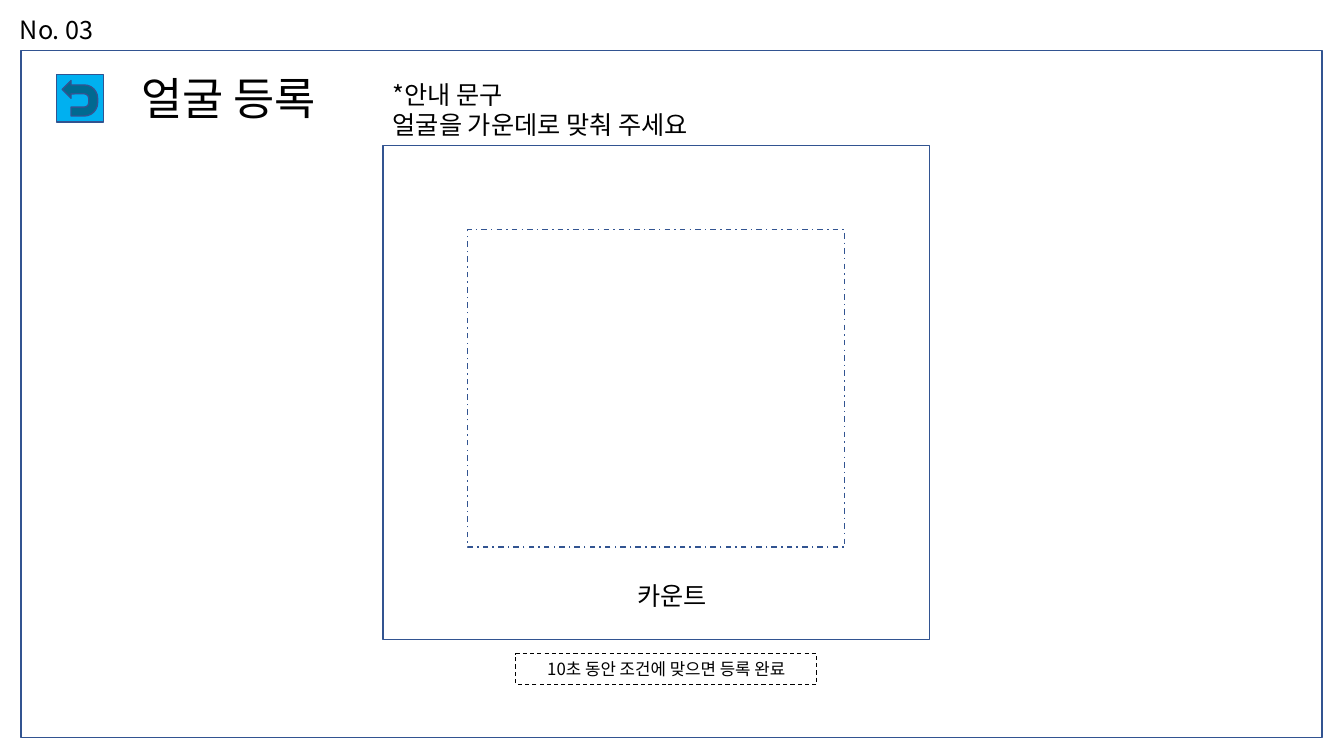
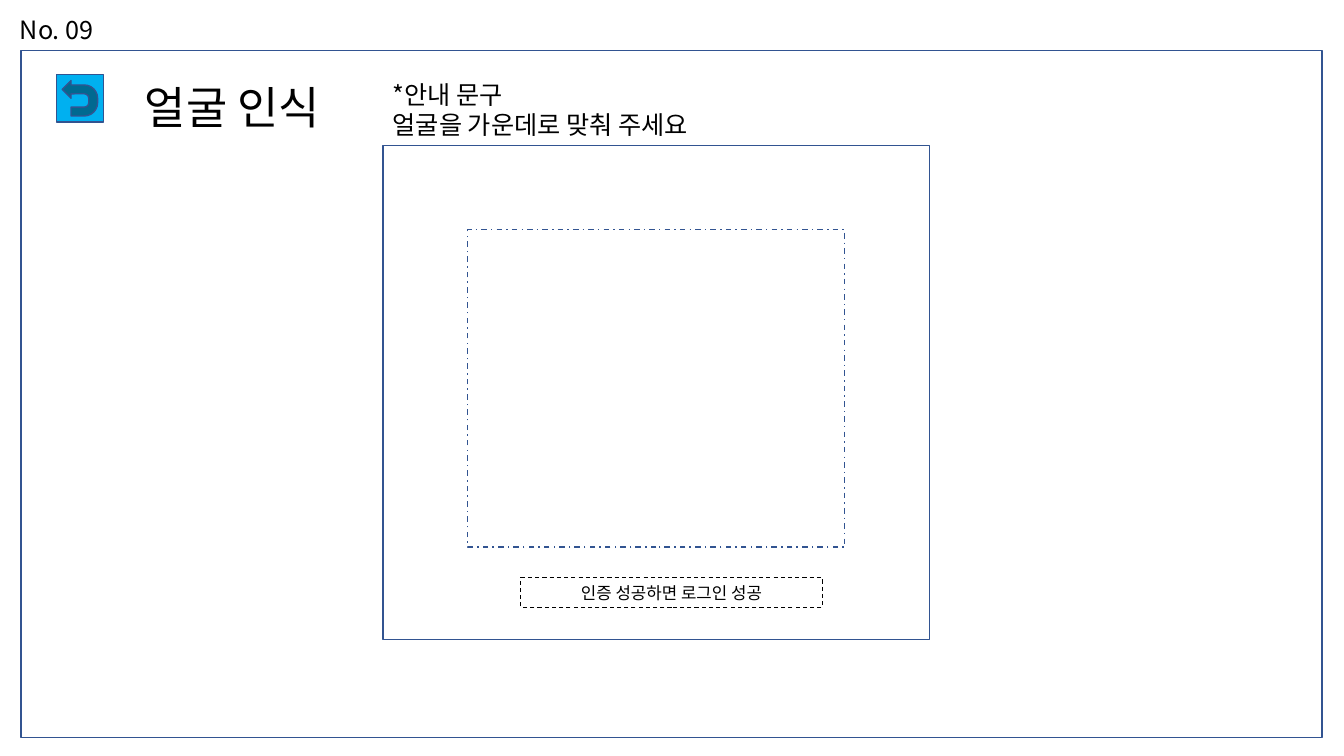
"""Build two wireframe slides for face registration and face recognition."""
import dataclasses

import pptx
import pptx.dml.color
import pptx.enum.dml
import pptx.enum.shapes
import pptx.enum.text
import pptx.oxml.ns
import pptx.util
from lxml import etree

Cm = pptx.util.Cm
Pt = pptx.util.Pt
RGB = pptx.dml.color.RGBColor.from_string
SHAPES = pptx.enum.shapes.MSO_SHAPE
DASHES = pptx.enum.dml.MSO_LINE
ALIGN = pptx.enum.text.PP_ALIGN
ANCHOR = pptx.enum.text.MSO_ANCHOR


@dataclasses.dataclass(frozen=True)
class Theme:
    """Hold the colours, font and sizes that the slides share."""
    font: str = "Noto Sans CJK KR"
    ink: str = "000000"
    outline: str = "325491"
    button: str = "00B0F0"
    title_size: int = 32
    body_size: int = 18
    remark_size: int = 12
    outline_width: float = 1
    remark_width: float = 0.75


THEME = Theme()


def write(frame, text, size=THEME.body_size, align=ALIGN.LEFT, anchor=ANCHOR.TOP):
    """Fill a text frame with one paragraph per line of text."""
    frame.word_wrap = True
    frame.auto_size = pptx.enum.text.MSO_AUTO_SIZE.NONE
    frame.vertical_anchor = anchor
    frame.text = text
    for paragraph in frame.paragraphs:
        paragraph.alignment = align
        for run in paragraph.runs:
            run.font.size = Pt(size)
            run.font.color.rgb = RGB(THEME.ink)
            run.font.name = THEME.font
            east_asian = etree.SubElement(
                run.font._element, pptx.oxml.ns.qn("a:ea"))
            east_asian.set("typeface", THEME.font)


def add_label(slide, box, text, **style):
    """Add a plain text box."""
    label = slide.shapes.add_textbox(*map(Cm, box))
    write(label.text_frame, text, **style)


def add_outline(slide, box, kind=SHAPES.RECTANGLE, fill=None,
                line=THEME.outline, width=THEME.outline_width, dash=None):
    """Add an outlined shape, empty unless a fill is given."""
    outline = slide.shapes.add_shape(kind, *map(Cm, box))
    outline.shadow.inherit = False
    if fill:
        outline.fill.solid()
        outline.fill.fore_color.rgb = RGB(fill)
    else:
        outline.fill.background()
    outline.line.color.rgb = RGB(line)
    outline.line.width = Pt(width)
    if dash:
        outline.line.dash_style = dash
    return outline


def add_remark(slide, box, text):
    """Add a dashed box with a centred remark."""
    remark = add_outline(slide, box, line=THEME.ink,
                         width=THEME.remark_width, dash=DASHES.DASH)
    write(remark.text_frame, text, size=THEME.remark_size,
          align=ALIGN.CENTER, anchor=ANCHOR.MIDDLE)


def add_title(slide, box, text):
    """Move and format the title placeholder."""
    title = slide.shapes.title
    title.left, title.top, title.width, title.height = map(Cm, box)
    write(title.text_frame, text, size=THEME.title_size)


def add_camera_screen(deck, number, title, title_box):
    """Add a slide with the parts that every camera screen shares."""
    slide = deck.slides.add_slide(deck.slide_layouts.get_by_name("Title Only"))
    add_title(slide, title_box, title)
    add_label(slide, (0.25, 0.23, 2.87, 1.02), f"No. {number:02}")
    add_outline(slide, (0.53, 1.27, 32.79, 17.32))
    back_button = add_outline(slide, (1.42, 1.88, 1.19, 1.19),
                              kind=SHAPES.ACTION_BUTTON_RETURN, fill=THEME.button)
    back_button.rotation = 270
    add_outline(slide, (9.65, 3.66, 13.77, 12.45))
    add_outline(slide, (11.79, 5.79, 9.5, 8), dash=DASHES.DASH_DOT)
    add_label(slide, (9.65, 1.88, 13.77, 1.8),
              "*안내 문구\n얼굴을 가운데로 맞춰 주세요")
    return slide


def main():
    """Build and save the deck."""
    deck = pptx.Presentation()
    deck.slide_width, deck.slide_height = Cm(33.87), Cm(19.05)

    registration = add_camera_screen(deck, 3, "얼굴 등록", (3.3, 1.65, 5.69, 1.63))
    add_label(registration, (15.67, 14.5, 2.54, 1.02), "카운트", align=ALIGN.CENTER)
    add_remark(registration, (13, 16.48, 7.59, 0.76),
               "10초 동안 조건에 맞으면 등록 완료")

    recognition = add_camera_screen(deck, 9, "얼굴 인식", (3.4, 1.88, 5.46, 1.63))
    add_remark(recognition, (13.13, 14.55, 7.59, 0.76), "인증 성공하면 로그인 성공")

    deck.save("out.pptx")


main()
